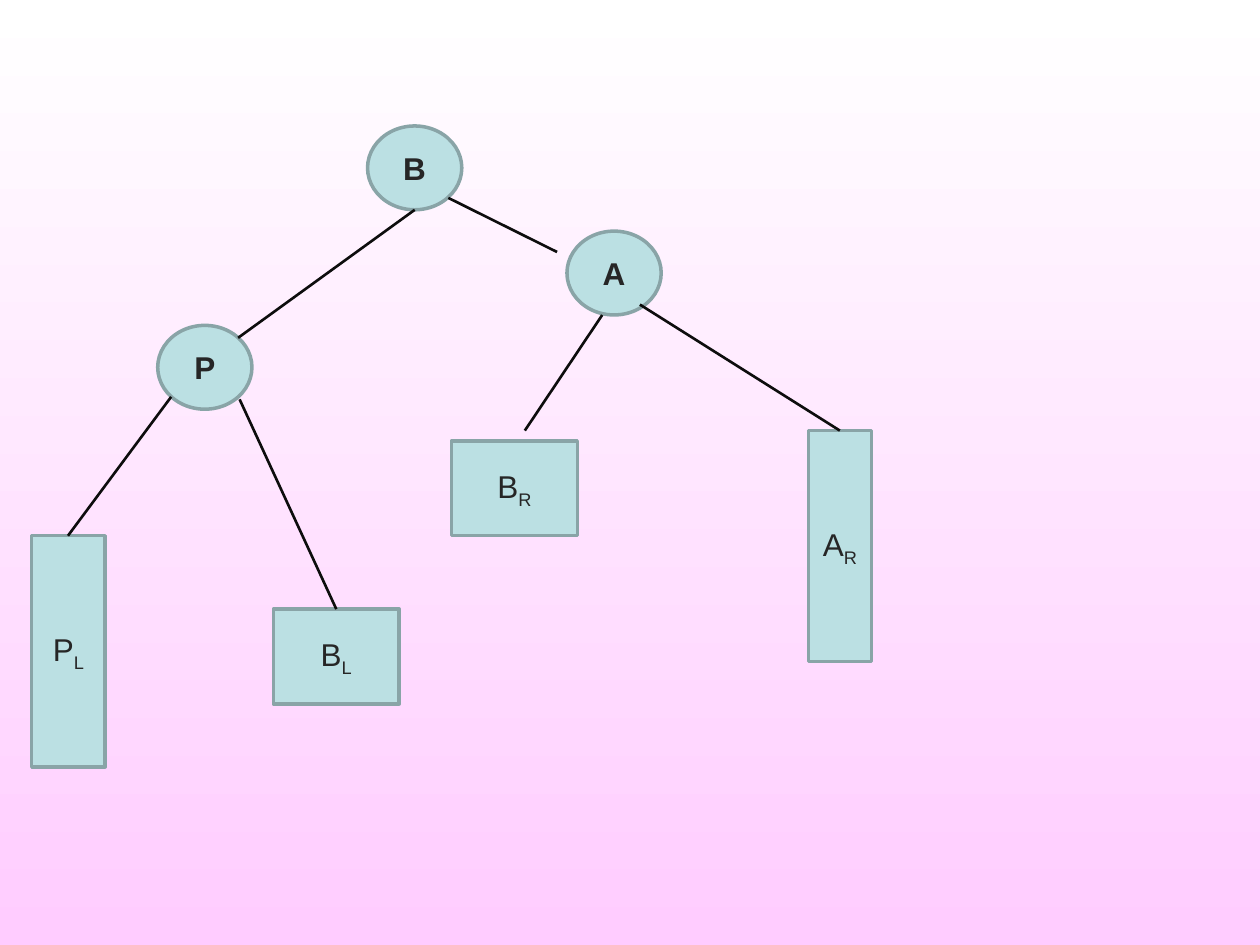
from lxml import etree
from pptx import Presentation
from pptx import util as u
from pptx.dml.color import RGBColor
from pptx.enum import shapes, text
from pptx.oxml.ns import qn

# Content, all lengths in cm
NODE_SIZE = (1.9, 1.69)
NODES = [("B", 7.41, 2.54), ("P", 3.18, 6.56), ("A", 11.43, 4.66)]
SUBTREES = [  # name, subscript, left, top, width, height
    ("B", "L", 5.51, 12.28, 2.54, 1.91),
    ("B", "R", 9.1, 8.89, 2.54, 1.91),
    ("A", "R", 16.3, 8.68, 1.27, 4.66),
    ("P", "L", 0.64, 10.8, 1.48, 4.66),
]
EDGES = [  # from x, y, to x, y
    (9.04, 3.99, 11.23, 5.08),   # B to A
    (8.36, 4.23, 4.8, 6.81),     # B to P
    (12.14, 6.35, 10.58, 8.68),  # A to its left subtree
    (12.9, 6.14, 16.93, 8.68),   # A to its right subtree
    (3.45, 8.0, 1.37, 10.8),     # P to its left subtree
    (4.83, 8.05, 6.78, 12.28),   # P to its right subtree
]


def paint(color, value):
    color.rgb = RGBColor.from_string(value)


def add_box(s, kind, box, name, subscript=""):
    sp = s.shapes.add_shape(kind, *map(u.Cm, box))
    sp.shadow.inherit = False
    sp.fill.solid()
    paint(sp.fill.fore_color, "BBE0E3")
    paint(sp.line.color, "89A4A7")
    sp.line.width = u.Pt(2)
    tf = sp.text_frame
    tf.word_wrap = False
    tf.vertical_anchor = text.MSO_ANCHOR.MIDDLE
    p = tf.paragraphs[0]
    p.alignment = text.PP_ALIGN.CENTER
    for part in filter(None, (name, subscript)):
        r = p.add_run()
        r.text = part
        r.font.name = "Arial"
        r.font.size = u.Pt(18)
        r.font.bold = not subscript
        paint(r.font.color, "262626")
    if subscript:
        r.font._element.set("baseline", "-25000")


def add_edge(s, ends):
    line = s.shapes.add_connector(shapes.MSO_CONNECTOR.STRAIGHT, *map(u.Cm, ends))
    paint(line.line.color, "0D0D0D")
    line.line.width = u.Pt(1.5)
    etree.SubElement(line._element.spPr, qn("a:effectLst"))


def main():
    prs = Presentation()
    prs.slide_width, prs.slide_height = u.Cm(25.4), u.Cm(19.05)
    s = prs.slides.add_slide(prs.slide_layouts[6])

    # Background, white at the top to pink at the bottom
    fill = s.background.fill
    fill.gradient()
    fill.gradient_angle = 270
    for stop, value in zip(fill.gradient_stops, ("FFFFFF", "FFCCFF")):
        paint(stop.color, value)

    # Tree
    for name, left, top in NODES:
        add_box(s, shapes.MSO_SHAPE.OVAL, (left, top, *NODE_SIZE), name)
    for name, subscript, *box in SUBTREES:
        add_box(s, shapes.MSO_SHAPE.RECTANGLE, box, name, subscript)
    for ends in EDGES:
        add_edge(s, ends)

    prs.save("out.pptx")


if __name__ == "__main__":
    main()
